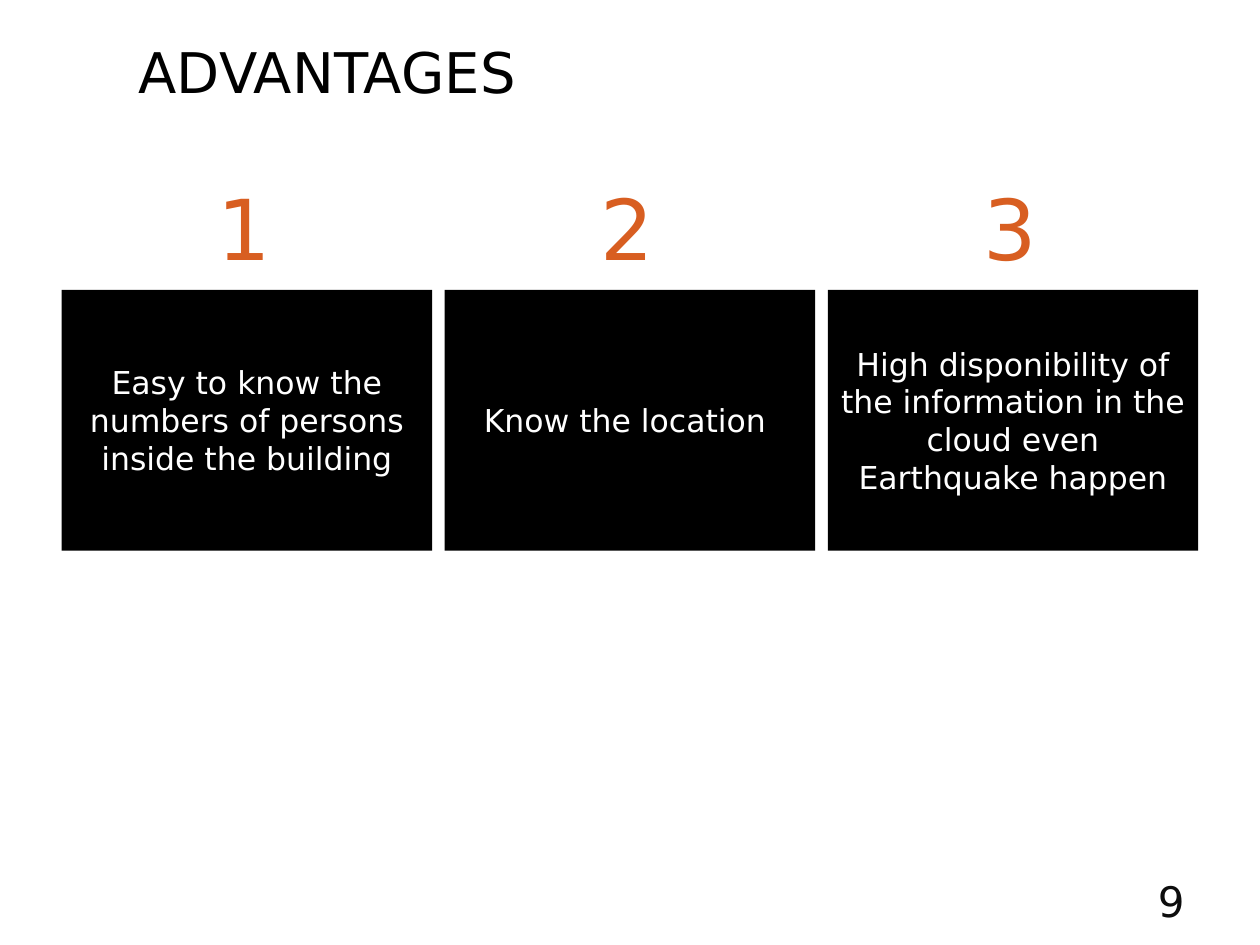
from pptx import Presentation
from pptx.dml.color import RGBColor
from pptx.enum.shapes import MSO_SHAPE
from pptx.enum.text import MSO_ANCHOR, PP_ALIGN
from pptx.util import Inches, Pt

RECTANGLE = MSO_SHAPE.RECTANGLE
TOP, MIDDLE = MSO_ANCHOR.TOP, MSO_ANCHOR.MIDDLE
LEFT, CENTER, RIGHT = PP_ALIGN.LEFT, PP_ALIGN.CENTER, PP_ALIGN.RIGHT
BLACK = RGBColor(0x00, 0x00, 0x00)
WHITE = RGBColor(0xFF, 0xFF, 0xFF)
ORANGE = RGBColor(0xD8, 0x5E, 0x21)
NEAR_BLACK = RGBColor(0x0D, 0x0D, 0x0D)
FONT = "DejaVu Sans"

ADVANTAGES = [
    "Easy to know the numbers of persons inside the building",
    "Know the location ",
    "High disponibility of the information in the cloud even Earthquake happen",
]
CARD_LEFT, CARD_STEP = 0.49, 3.04
NUMBER_OFFSET = 1.14


def write(frame, text, size, color, align=LEFT, anchor=TOP, margin_left=0.1):
    frame_format = {
        "word_wrap": True,
        "vertical_anchor": anchor,
        "margin_left": Inches(margin_left),
    }
    for key, value in frame_format.items():
        setattr(frame, key, value)
    paragraph = frame.paragraphs[0]
    paragraph.alignment = align
    run = paragraph.add_run()
    run.text = text
    for key, value in {"name": FONT, "size": Pt(size)}.items():
        setattr(run.font, key, value)
    run.font.color.rgb = color


def add_label(slide, box, text, size, color, **layout):
    label = slide.shapes.add_textbox(*map(Inches, box))
    write(label.text_frame, text, size, color, **layout)


def add_card(slide, left, text):
    box = (left, 2.3, 2.94, 2.07)
    card = slide.shapes.add_shape(RECTANGLE, *map(Inches, box))
    card.shadow.inherit = False
    card.fill.solid()
    card.fill.fore_color.rgb = BLACK
    card.line.fill.background()
    write(card.text_frame, text, 18, WHITE, align=CENTER, anchor=MIDDLE)


def main():
    deck = Presentation()
    deck.slide_width, deck.slide_height = Inches(10), Inches(7.5)
    slide = deck.slides.add_slide(deck.slide_layouts[6])

    add_label(slide, (0, 0.24, 7.98, 0.65), "ADVANTAGES", 32, BLACK,
              anchor=MIDDLE, margin_left=1.1)
    for index, advantage in enumerate(ADVANTAGES):
        left = CARD_LEFT + index * CARD_STEP
        add_label(slide, (left + NUMBER_OFFSET, 1.35, 0.82, 0.9),
                  str(index + 1), 48, ORANGE)
        add_card(slide, left, advantage)
    add_label(slide, (7.17, 6.95, 2.33, 0.4), "9", 24, NEAR_BLACK,
              align=RIGHT, anchor=MIDDLE)

    deck.save("out.pptx")


if __name__ == "__main__":
    main()
